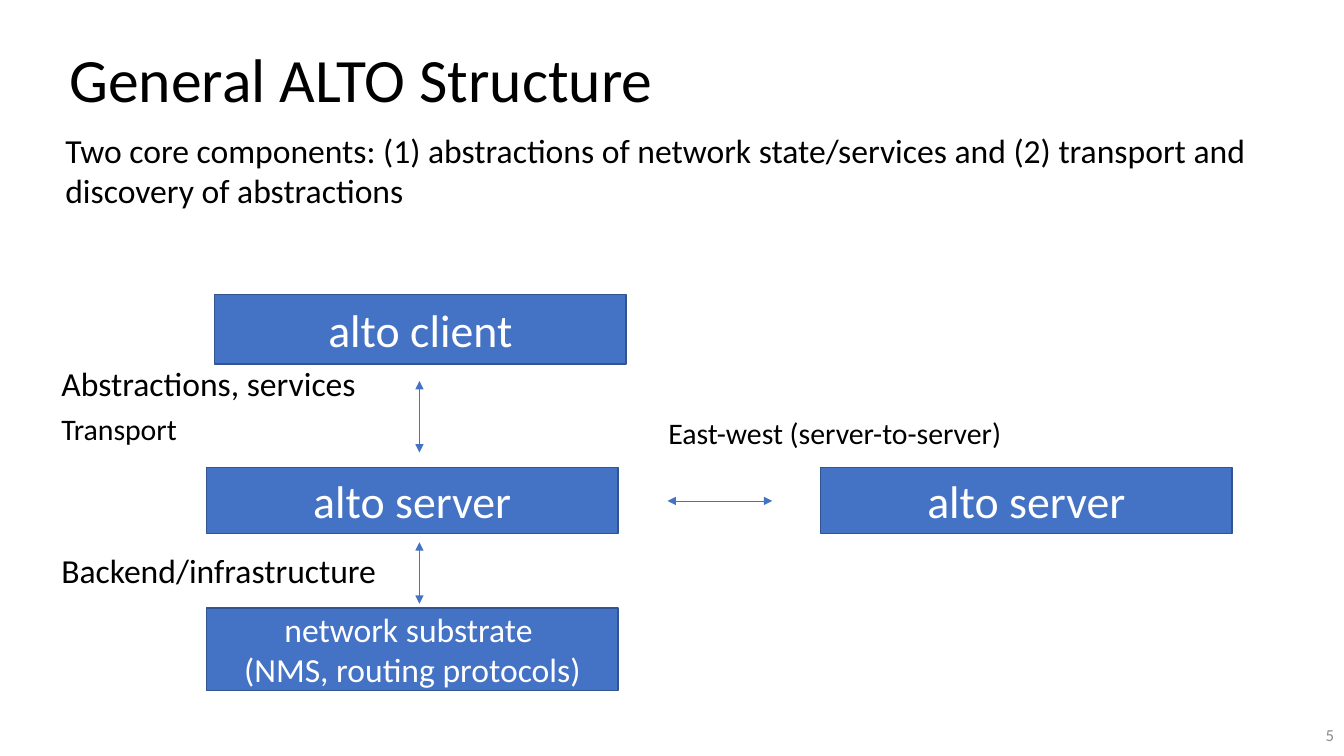
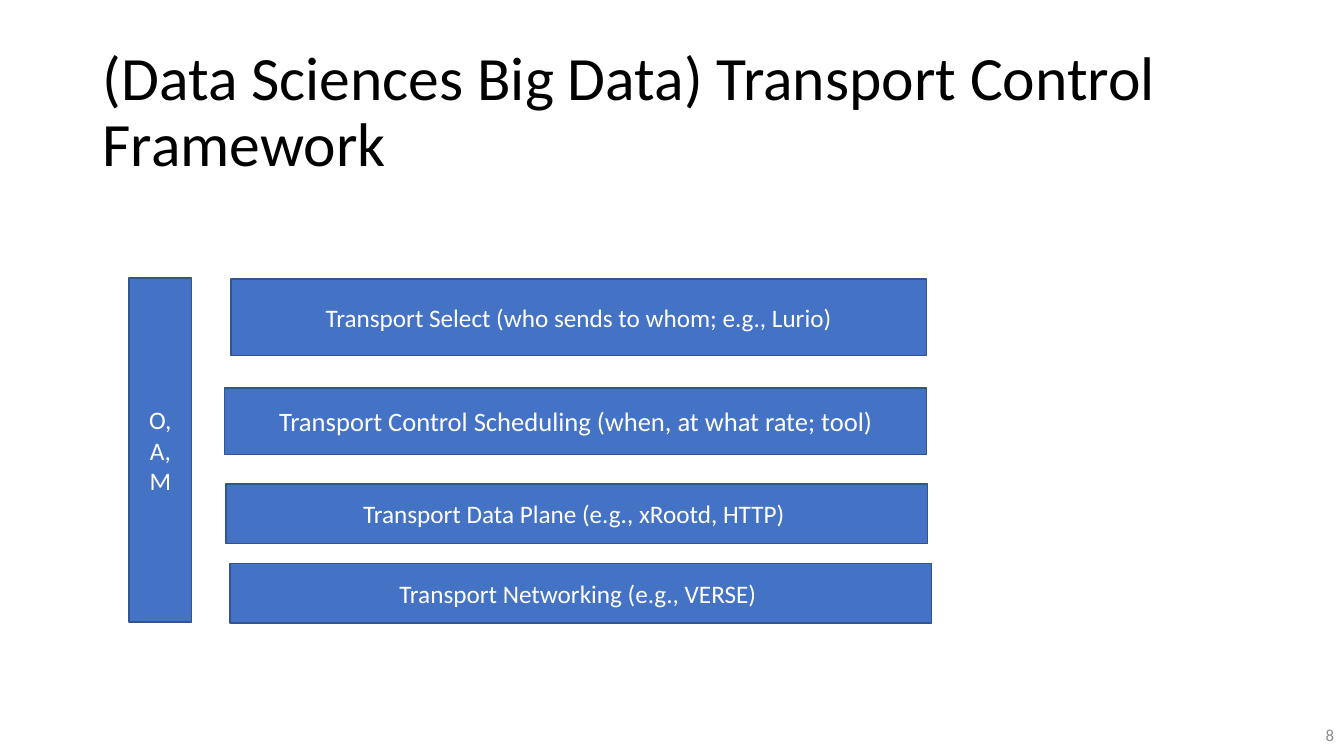
from dataclasses import dataclass

from pptx import Presentation
from pptx.dml.color import RGBColor
from pptx.enum.shapes import MSO_CONNECTOR, MSO_SHAPE
from pptx.enum.text import MSO_ANCHOR, MSO_AUTO_SIZE, PP_ALIGN
from pptx.oxml.ns import qn
from pptx.oxml.xmlchemy import OxmlElement
from pptx.shapes.autoshape import Shape
from pptx.slide import Slide
from pptx.text.text import TextFrame
from pptx.util import Emu, Pt

RECT = MSO_SHAPE.RECTANGLE
STRAIGHT = MSO_CONNECTOR.STRAIGHT
TOP, MIDDLE = MSO_ANCHOR.TOP, MSO_ANCHOR.MIDDLE
LEFT, CENTER, RIGHT = PP_ALIGN.LEFT, PP_ALIGN.CENTER, PP_ALIGN.RIGHT
NO_FIT = MSO_AUTO_SIZE.NONE
BLANK = 6
EMU_PER_PX = 9144


@dataclass(frozen=True)
class Theme:
    font: str = "Calibri"
    text: RGBColor = RGBColor(0x00, 0x00, 0x00)
    inverse: RGBColor = RGBColor(0xFF, 0xFF, 0xFF)
    muted: RGBColor = RGBColor(0x8C, 0x8C, 0x8C)
    accent: RGBColor = RGBColor(0x44, 0x72, 0xC4)
    outline: RGBColor = RGBColor(0x32, 0x54, 0x91)
    title: float = 44
    node: float = 32.7
    body: float = 24
    label: float = 21.3
    schedule: float = 19
    layer: float = 18
    number: float = 12
    outline_width: float = 1
    arrow_width: float = 0.5


THEME = Theme()


@dataclass(frozen=True)
class Frame:
    x: int
    y: int
    w: int
    h: int


@dataclass(frozen=True)
class Label:
    text: str
    frame: Frame
    size: float


@dataclass(frozen=True)
class Arrow:
    x1: int
    y1: int
    x2: int
    y2: int


SLIDE = Frame(0, 0, 1333, 750)
NUMBER = Frame(1033, 709, 300, 40)

NODE_W = 408
SERVER_Y, SERVER_H = 464, 65
MAIN_X, PEER_X, LABEL_X = 205, 814, 51
ARROW_X = 416

NODES = (
    Label("alto client", Frame(213, 292, NODE_W, 69), THEME.node),
    Label("alto server", Frame(MAIN_X, SERVER_Y, NODE_W, SERVER_H), THEME.node),
    Label("alto server", Frame(PEER_X, SERVER_Y, NODE_W, SERVER_H), THEME.node),
    Label("network substrate \n(NMS, routing protocols)",
          Frame(MAIN_X, 603, NODE_W, 82), THEME.body),
)
INTERFACES = (
    Label("Abstractions, services", Frame(LABEL_X, 355, 315, 50), THEME.body),
    Label("Transport", Frame(LABEL_X, 403, 136, 46), THEME.label),
    Label("Backend/infrastructure", Frame(LABEL_X, 541, 336, 50), THEME.body),
    Label("East-west (server-to-server)", Frame(653, 407, 355, 46), THEME.label),
)
ARROWS = (
    Arrow(ARROW_X, 378, ARROW_X, 449),
    Arrow(ARROW_X, 538, ARROW_X, 599),
    Arrow(766, 497, 662, 497),
)
LAYERS = (
    Label("O, A, M", Frame(128, 276, 62, 341), THEME.layer),
    Label("Transport Select (who sends to whom; e.g., Lurio)",
          Frame(229, 277, 690, 76), THEME.layer),
    Label("Transport Control Scheduling (when, at what rate; tool)",
          Frame(223, 385, 696, 66), THEME.schedule),
    Label("Transport Data Plane (e.g., xRootd, HTTP) ",
          Frame(224, 480, 696, 59), THEME.layer),
    Label("Transport Networking (e.g., VERSE) ",
          Frame(228, 559, 696, 59), THEME.layer),
)


def px(value: int) -> Emu:
    return Emu(value * EMU_PER_PX)


def box(frame: Frame) -> tuple[Emu, Emu, Emu, Emu]:
    return px(frame.x), px(frame.y), px(frame.w), px(frame.h)


def write(tf: TextFrame, text: str, *, size: float, color: RGBColor = THEME.text,
          align: PP_ALIGN = LEFT, anchor: MSO_ANCHOR = TOP,
          spacing: float = 1.0, wrap: bool = True) -> None:
    tf.auto_size = NO_FIT
    tf.word_wrap = wrap
    tf.vertical_anchor = anchor
    p = tf.paragraphs[0]
    p.alignment = align
    p.line_spacing = spacing
    for i, line in enumerate(text.split("\n")):
        if i:
            p.add_line_break()
        r = p.add_run()
        r.text = line
        r.font.name = THEME.font
        r.font.size = Pt(size)
        r.font.color.rgb = color


def add_text(s: Slide, frame: Frame) -> TextFrame:
    return s.shapes.add_textbox(*box(frame)).text_frame


def add_block(s: Slide, item: Label) -> Shape:
    sp = s.shapes.add_shape(RECT, *box(item.frame))
    sp.shadow.inherit = False
    sp.fill.solid()
    sp.fill.fore_color.rgb = THEME.accent
    sp.line.color.rgb = THEME.outline
    sp.line.width = Pt(THEME.outline_width)
    write(sp.text_frame, item.text, size=item.size, color=THEME.inverse,
          align=CENTER, anchor=MIDDLE)
    return sp


def add_arrow(s: Slide, arrow: Arrow) -> None:
    cxn = s.shapes.add_connector(STRAIGHT, px(arrow.x1), px(arrow.y1),
                                 px(arrow.x2), px(arrow.y2))
    cxn.line.color.rgb = THEME.accent
    cxn.line.width = Pt(THEME.arrow_width)
    sp_pr = cxn._element.spPr
    ln = sp_pr.find(qn("a:ln"))
    for tag in ("a:headEnd", "a:tailEnd"):
        end = OxmlElement(tag)
        end.set("type", "triangle")
        ln.append(end)
    sp_pr.append(OxmlElement("a:effectLst"))


def add_slide(prs: Presentation, title: str, frame: Frame, number: int) -> Slide:
    s = prs.slides.add_slide(prs.slide_layouts[BLANK])
    write(add_text(s, frame), title, size=THEME.title, anchor=MIDDLE, spacing=0.9)
    write(add_text(s, NUMBER), str(number), size=THEME.number, color=THEME.muted,
          align=RIGHT, anchor=MIDDLE)
    return s


def build_structure(prs: Presentation) -> None:
    s = add_slide(prs, "General ALTO Structure", Frame(59, 33, 1150, 98), 5)
    write(add_text(s, Frame(55, 124, 1231, 91)),
          "Two core components: (1) abstractions of network state/services "
          "and (2) transport and discovery of abstractions", size=THEME.body)
    for node in NODES:
        add_block(s, node)
    for item in INTERFACES:
        write(add_text(s, item.frame), item.text, size=item.size, wrap=False)
    for arrow in ARROWS:
        add_arrow(s, arrow)


def build_framework(prs: Presentation) -> None:
    s = add_slide(prs, "(Data Sciences Big Data) Transport Control Framework",
                  Frame(92, 40, 1150, 145), 8)
    for layer in LAYERS:
        add_block(s, layer)


def main() -> None:
    prs = Presentation()
    prs.slide_width, prs.slide_height = px(SLIDE.w), px(SLIDE.h)
    build_structure(prs)
    build_framework(prs)
    prs.save("out.pptx")


if __name__ == "__main__":
    main()
